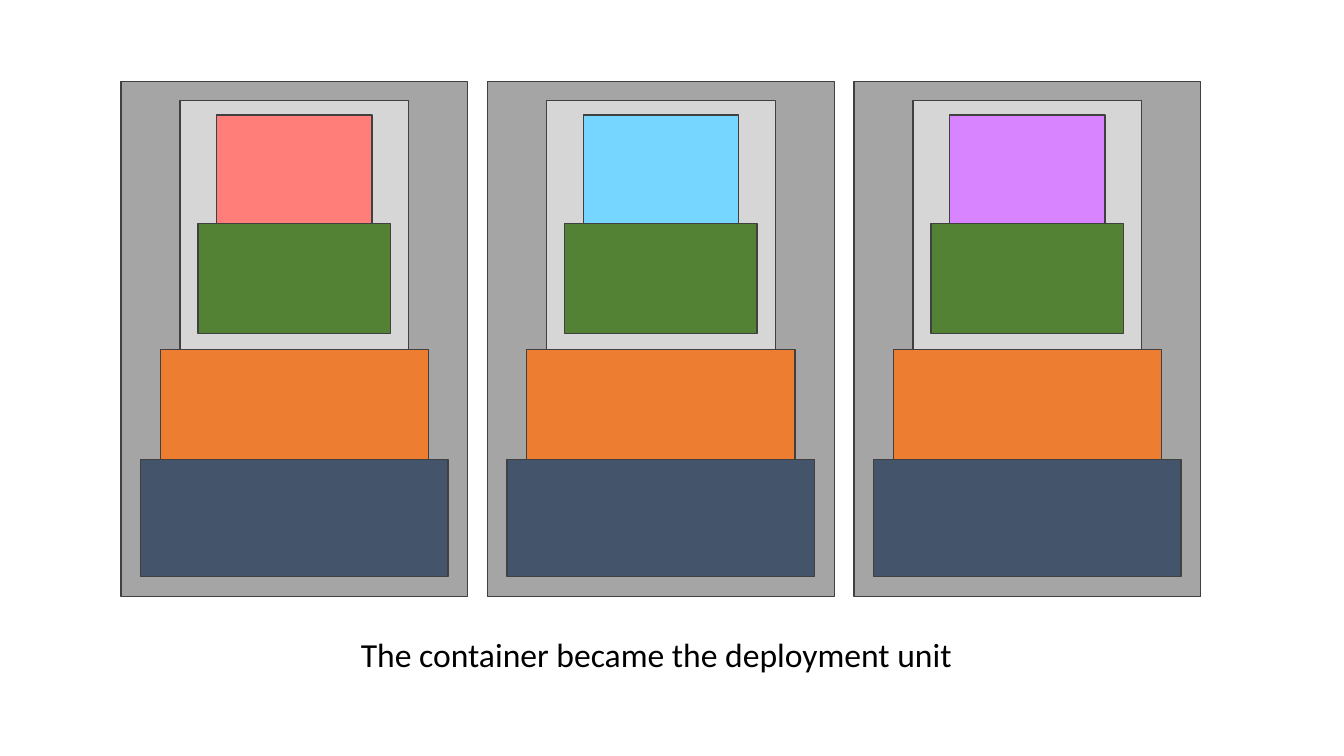
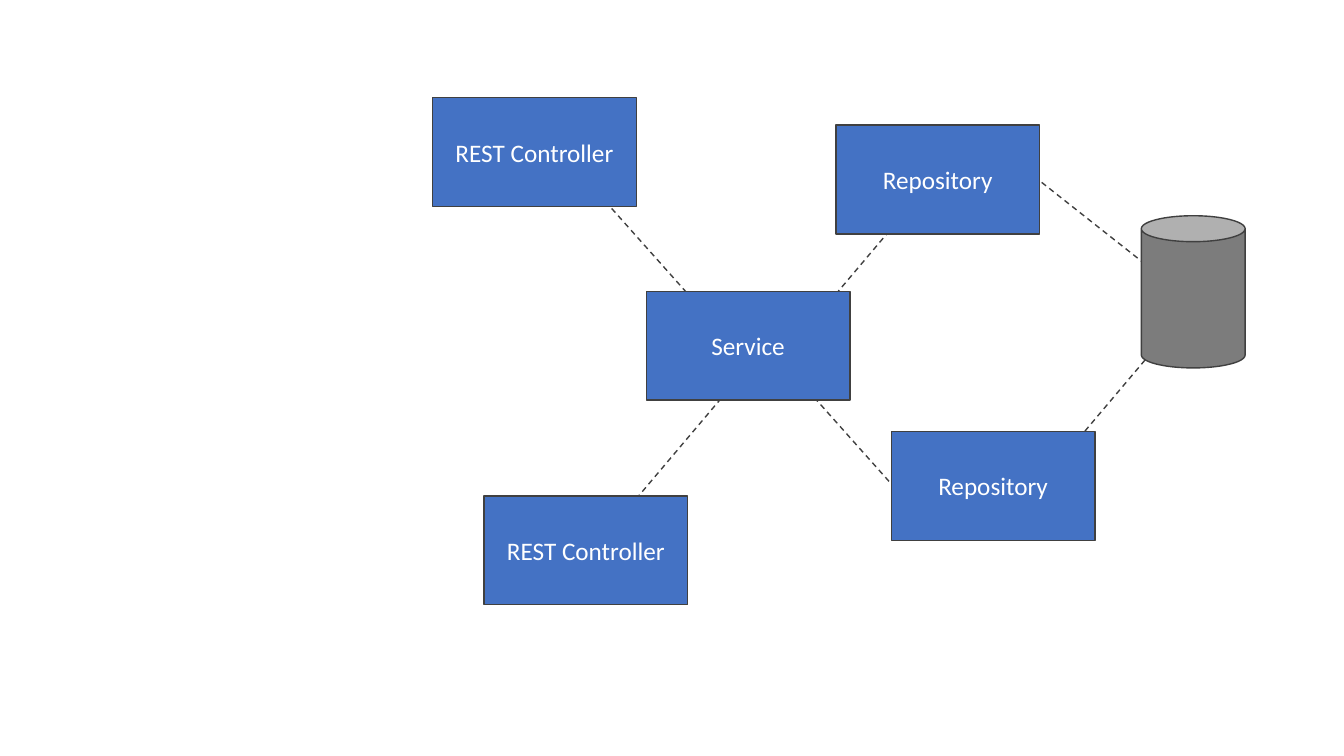
"""Two slides: container stacks as deployment units, and a layered service."""
from typing import Any, NamedTuple

from lxml.etree import SubElement
from pptx import Presentation
from pptx.dml.color import RGBColor
from pptx.enum.dml import MSO_LINE
from pptx.enum.shapes import MSO_CONNECTOR, MSO_SHAPE
from pptx.enum.text import MSO_ANCHOR, MSO_AUTO_SIZE, PP_ALIGN
from pptx.oxml.ns import qn
from pptx.util import Inches, Pt

FONT = "Calibri"
OUTLINE, BLACK, WHITE = "404040", "000000", "FFFFFF"
BLUE, DATABASE_GREY = "4472C4", "7C7C7C"
HOST_GREY, CONTAINER_GREY = "A5A5A5", "D6D6D6"
NAVY, GREEN, ORANGE = "44546A", "548235", "ED7D31"
APP_COLORS = ("FF7E79", "76D6FF", "D883FF")

FIRST_LEFT, LAST_LEFT, HOST_W = 1.2, 8.47, 3.44
BOX_W, BOX_H = 2.02, 1.08


class Layer(NamedTuple):
    top: float
    width: float
    height: float
    color: str


class Component(NamedTuple):
    left: float
    top: float
    label: str


class Link(NamedTuple):
    x1: float
    y1: float
    x2: float
    y2: float


COMPONENTS = (
    Component(8.29, 1.24, "Repository"),
    Component(6.41, 2.89, "Service"),
    Component(4.8, 4.92, "REST Controller"),
    Component(4.29, 0.97, "REST Controller"),
    Component(8.84, 4.28, "Repository"),
)
LINKS = (
    Link(5.81, 1.78, 7.28, 3.43),
    Link(5.81, 5.54, 7.45, 3.6),
    Link(7.79, 3.51, 9.43, 1.57),
    Link(7.69, 3.51, 9.16, 5.16),
    Link(10.2, 4.94, 11.84, 3),
    Link(10.18, 1.69, 11.84, 3),
)


def rgb(color: str) -> RGBColor:
    return RGBColor.from_string(color)


def style_line(line: Any) -> None:
    line.color.rgb = rgb(OUTLINE)
    line.width = Pt(1)


def write(tf: Any, text: str, size: int, color: str) -> Any:
    p = tf.paragraphs[0]
    p.text = text
    p.font.name, p.font.size = FONT, Pt(size)
    p.font.color.rgb = rgb(color)
    return p


def add_block(shapes: Any, left: float, top: float, width: float, height: float,
              color: str, kind: MSO_SHAPE = MSO_SHAPE.RECTANGLE) -> Any:
    sp = shapes.add_shape(kind, Inches(left), Inches(top), Inches(width), Inches(height))
    sp.shadow.inherit = False
    sp.fill.solid()
    sp.fill.fore_color.rgb = rgb(color)
    style_line(sp.line)
    return sp


def add_stack(s: Any, left: float, app_color: str) -> None:
    layers = (
        Layer(0.81, HOST_W, 5.11, HOST_GREY),
        Layer(4.56, 3.05, 1.16, NAVY),
        Layer(1, 2.27, 2.47, CONTAINER_GREY),
        Layer(1.14, 1.54, 1.09, app_color),
        Layer(2.22, 1.91, 1.09, GREEN),
        Layer(3.47, 2.66, 1.09, ORANGE),
    )
    group = s.shapes.add_group_shape()
    for layer in layers:
        inset = (HOST_W - layer.width) / 2
        add_block(group.shapes, left + inset, *layer)


def add_component(s: Any, component: Component) -> None:
    sp = add_block(s.shapes, component.left, component.top, BOX_W, BOX_H, BLUE)
    tf = sp.text_frame
    tf.vertical_anchor = MSO_ANCHOR.MIDDLE
    write(tf, component.label, 18, WHITE).alignment = PP_ALIGN.CENTER


def add_link(s: Any, link: Link) -> None:
    cxn = s.shapes.add_connector(MSO_CONNECTOR.STRAIGHT, *map(Inches, link))
    style_line(cxn.line)
    cxn.line.dash_style = MSO_LINE.DASH
    SubElement(cxn._element.spPr, qn("a:effectLst"))


def build_containers(s: Any) -> None:
    pitch = (LAST_LEFT - FIRST_LEFT) / (len(APP_COLORS) - 1)
    for i, color in enumerate(APP_COLORS):
        add_stack(s, FIRST_LEFT + i * pitch, color)
    caption = s.shapes.add_textbox(Inches(3.48), Inches(6.24), Inches(6.12), Inches(0.5))
    tf = caption.text_frame
    tf.word_wrap = False
    tf.auto_size = MSO_AUTO_SIZE.SHAPE_TO_FIT_TEXT
    write(tf, "The container became the deployment unit", 24, BLACK)


def build_service(s: Any) -> None:
    for link in LINKS:
        add_link(s, link)
    add_block(s.shapes, 11.32, 2.14, 1.03, 1.51, DATABASE_GREY, MSO_SHAPE.CAN)
    for component in COMPONENTS:
        add_component(s, component)


def main() -> None:
    prs = Presentation()
    prs.slide_width, prs.slide_height = Inches(13.33), Inches(7.5)
    blank = prs.slide_layouts[6]
    for build in (build_containers, build_service):
        build(prs.slides.add_slide(blank))
    prs.save("out.pptx")


if __name__ == "__main__":
    main()
